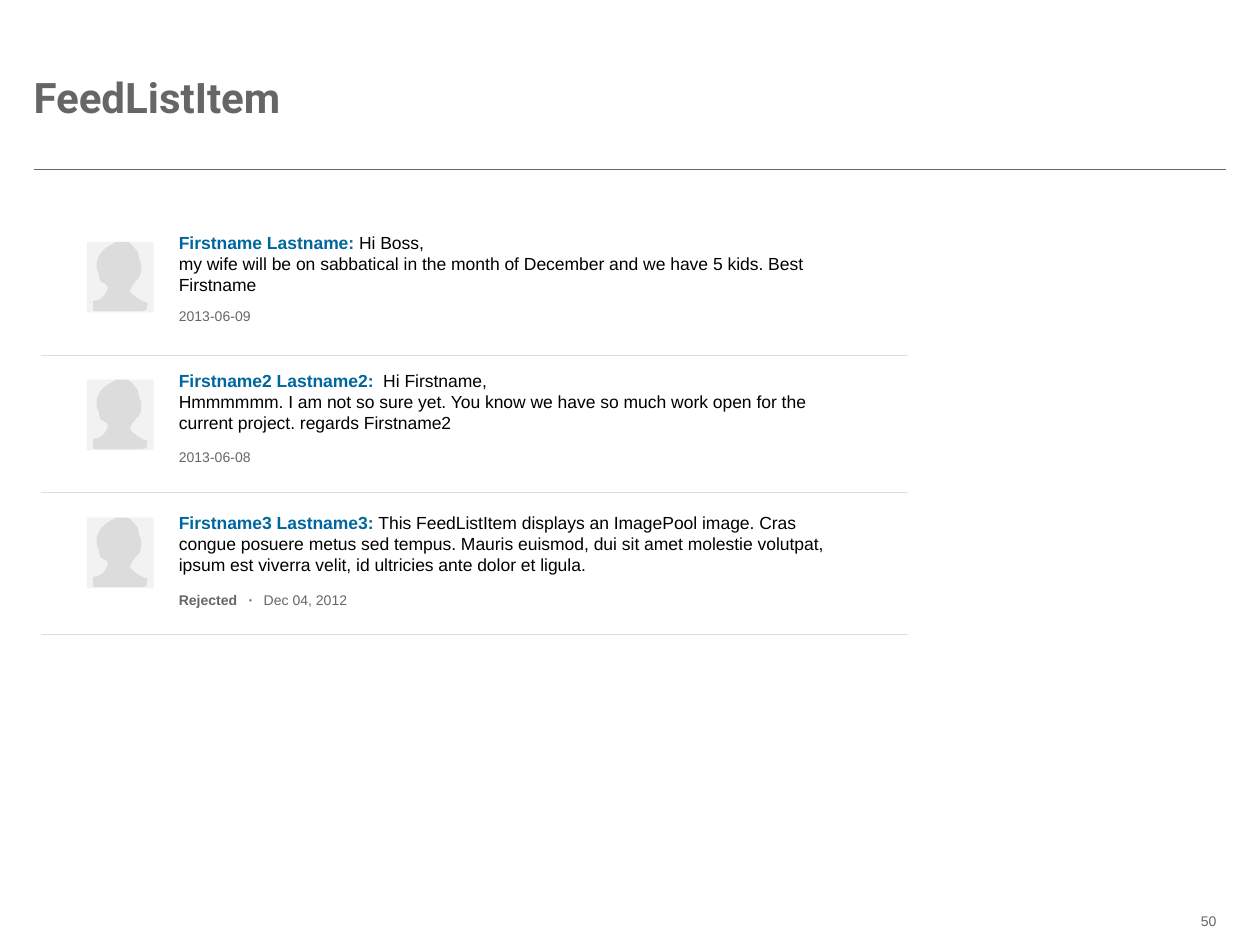
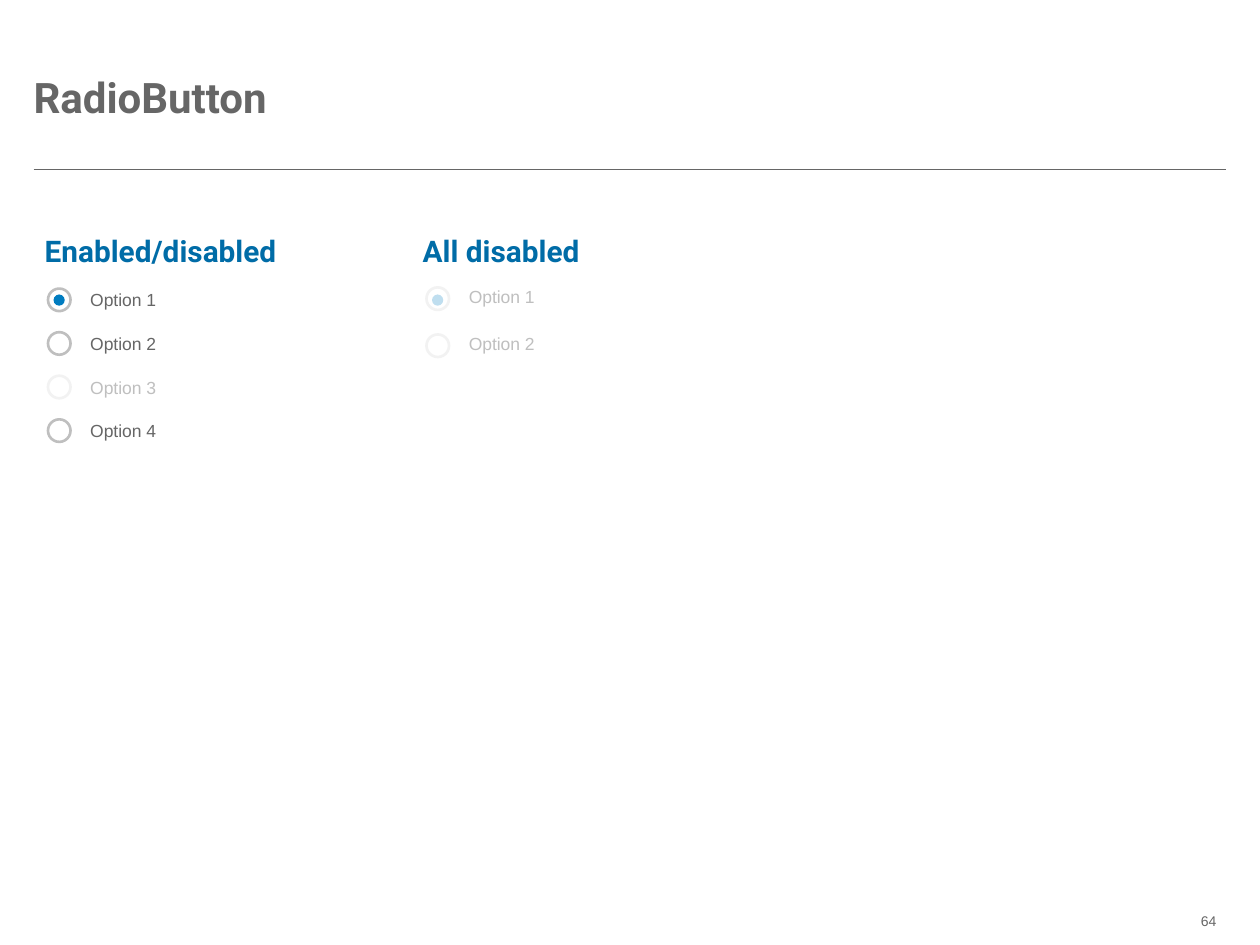
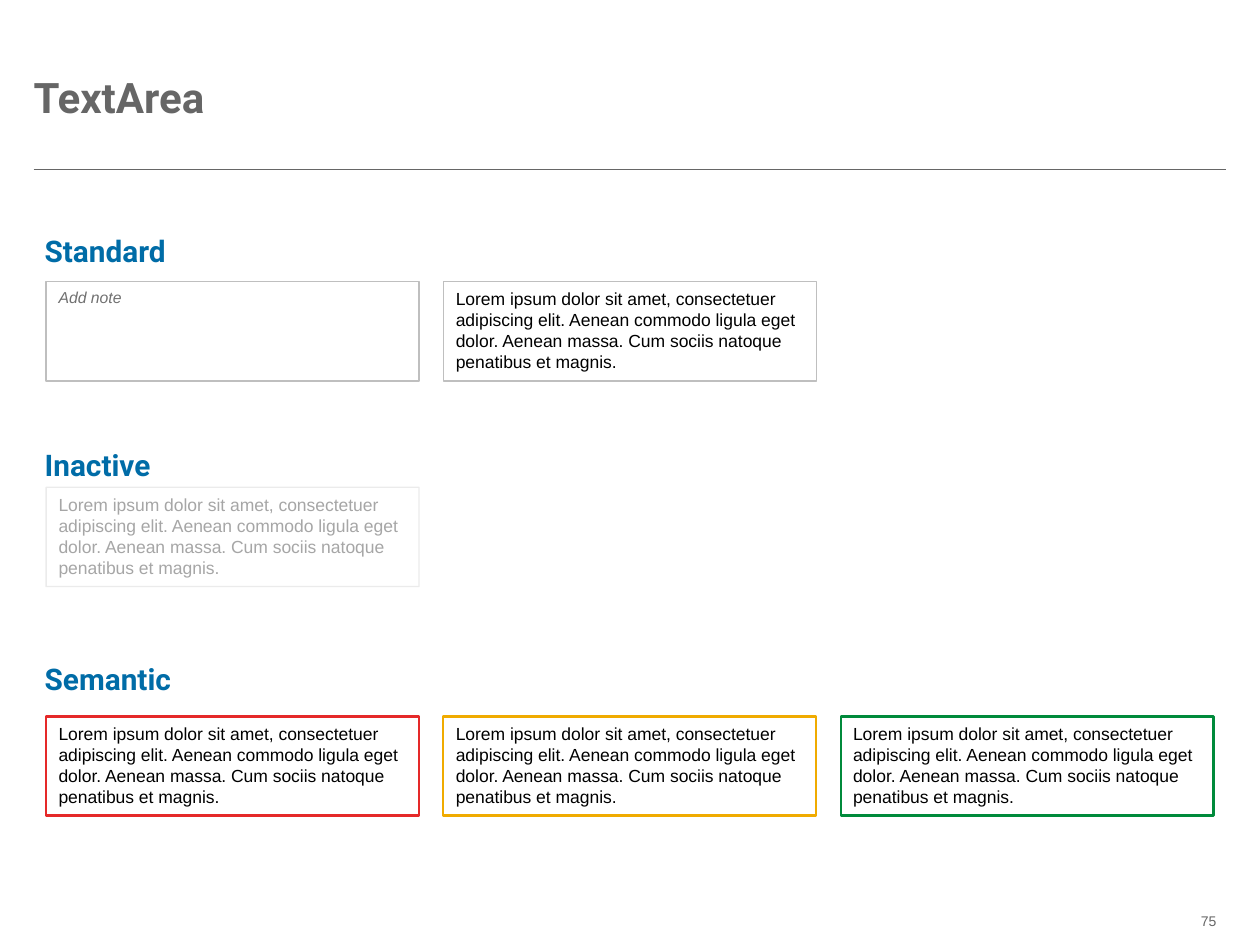
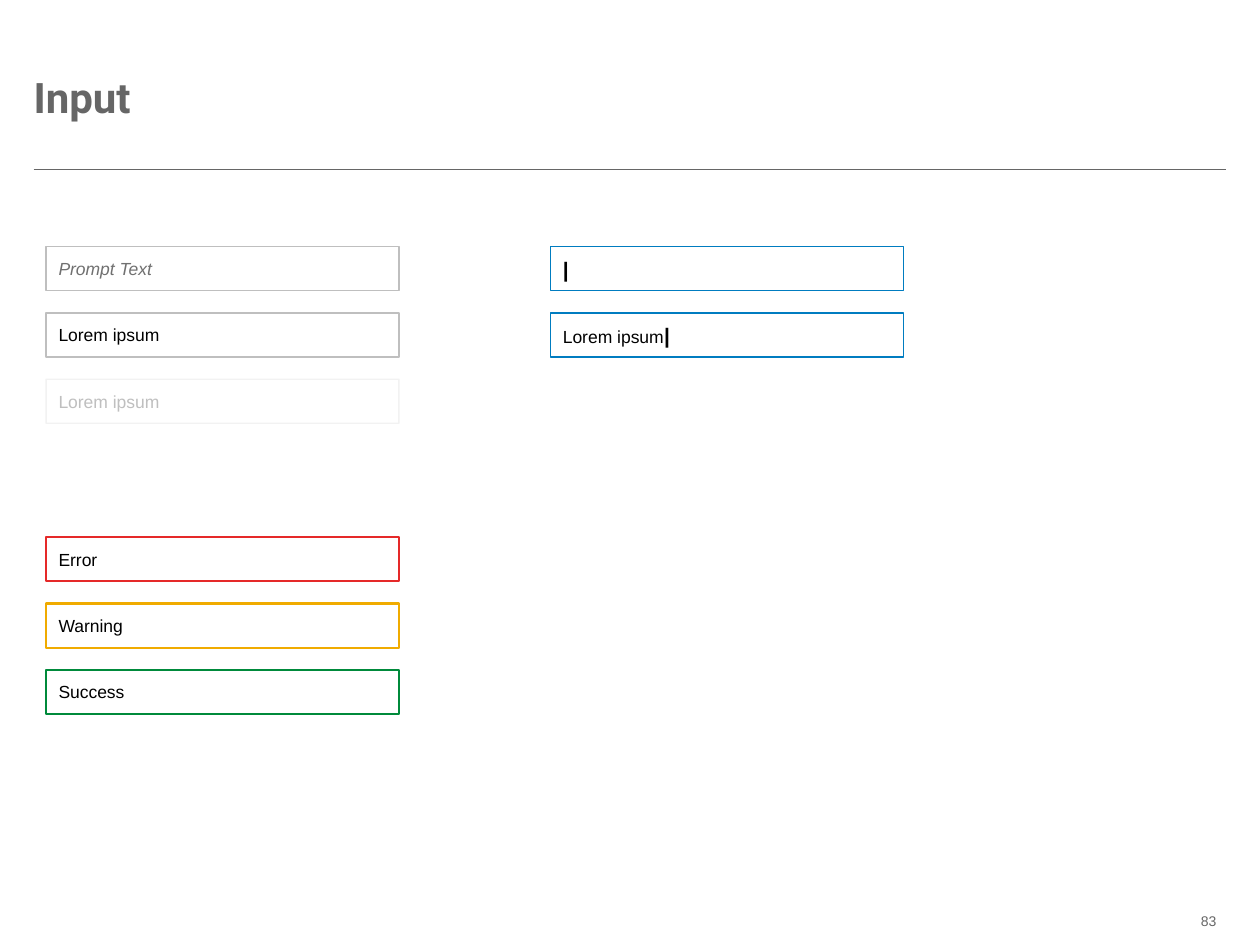
from dataclasses import dataclass
from typing import Any, NamedTuple

from lxml.etree import Element, SubElement
from pptx import Presentation
from pptx.dml.color import RGBColor
from pptx.enum.shapes import MSO_CONNECTOR, MSO_SHAPE
from pptx.enum.text import MSO_ANCHOR, PP_ALIGN
from pptx.oxml.ns import qn
from pptx.util import Pt

# Colours and fonts
WHITE = RGBColor(0xFF, 0xFF, 0xFF)
BLACK = RGBColor(0x00, 0x00, 0x00)
GRAY = RGBColor(0x66, 0x66, 0x66)
PROMPT = RGBColor(0x70, 0x70, 0x70)
MUTED = RGBColor(0xA6, 0xA6, 0xA6)
SILVER = RGBColor(0xBF, 0xBF, 0xBF)
RULE = RGBColor(0xDD, 0xDD, 0xDD)
SHADE = RGBColor(0xDC, 0xDC, 0xDC)
PALE = RGBColor(0xF2, 0xF2, 0xF2)
HEAD = RGBColor(0x00, 0x6C, 0xA7)
NAME = RGBColor(0x00, 0x67, 0x9E)
BLUE = RGBColor(0x00, 0x7C, 0xC0)
MIST = RGBColor(0xBF, 0xDE, 0xEF)
RED = RGBColor(0xE5, 0x29, 0x29)
AMBER = RGBColor(0xF0, 0xAB, 0x00)
GREEN = RGBColor(0x00, 0x8A, 0x3B)
SANS, DISPLAY = "Arial", "Roboto"

LEFT = 26.4
HAIR = 0.01  # thinnest line
LOREM = ("Lorem ipsum dolor sit amet, consectetuer adipiscing elit. Aenean commodo "
         "ligula eget dolor. Aenean massa. Cum sociis natoque penatibus et magnis.")

# Head outline: cubic curves in hundredths of an inch
START = (43, 48)
CURVES = [
    (43, 55, 43, 55, 36, 55), (25, 55, 14, 55, 2, 55), (0, 55, 0, 55, 0, 53),
    (0, 51, 0, 49, 0, 47), (5, 47, 9, 44, 11, 39), (13, 37, 11, 34, 9, 33),
    (7, 33, 5, 31, 5, 29), (5, 26, 4, 24, 3, 22), (2, 14, 5, 9, 10, 5),
    (12, 3, 16, 2, 18, 0), (21, 0, 24, 0, 28, 0), (30, 1, 31, 3, 32, 4),
    (33, 6, 36, 7, 36, 10), (36, 13, 37, 15, 38, 17), (39, 22, 38, 29, 34, 31),
    (33, 33, 32, 33, 31, 35), (31, 37, 29, 38, 29, 39), (30, 41, 32, 42, 33, 43),
    (36, 45, 39, 48, 43, 48),
]


class Box(NamedTuple):
    x: float
    y: float
    w: float
    h: float

    def size(self) -> list[Pt]:
        return [Pt(side) for side in self]


class Note(NamedTuple):
    text: str
    x: float = 102.2
    width: float = 41.8
    bold: bool = False


@dataclass
class Feed:
    name: str
    lines: list[str]
    top: float
    foot: float
    rule: float
    notes: list[Note]


@dataclass
class Radio:
    text: str
    active: bool = True
    chosen: bool = False


@dataclass
class Field:
    box: Box
    text: str
    edge: RGBColor = SILVER
    width: float = 0.75
    color: RGBColor = BLACK
    size: float = 10
    italic: bool = False
    middle: bool = False
    caret: str = ""
    veil: int = 100  # opacity of the edge, in percent
    glass: int = 100  # opacity of the fill, in percent


# Shared helpers
def say(para: Any, text: str, *, size: float = 10, color: RGBColor = BLACK,
        face: str = SANS, bold: bool = False, italic: bool = False,
        track: float = 0, tab: float = 0) -> None:
    if tab:
        stops = SubElement(para._p.get_or_add_pPr(), qn("a:tabLst"))
        SubElement(stops, qn("a:tab"), pos=str(Pt(tab)), algn="l")
    run = para.add_run()
    run.text = text
    font = run.font
    font.name, font.size, font.bold, font.italic = face, Pt(size), bold, italic
    font.color.rgb = color
    if track:
        run._r.get_or_add_rPr().set("spc", str(round(track * 100)))


def frame(shapes: Any, box: Box, wrap: bool = True) -> Any:
    body = shapes.add_textbox(*box.size()).text_frame
    body.margin_left = body.margin_top = body.margin_right = body.margin_bottom = 0
    body.word_wrap = wrap
    return body


def label(shapes: Any, box: Box, text: str, wrap: bool = False, **style: Any) -> Any:
    body = frame(shapes, box, wrap)
    say(body.paragraphs[0], text, **style)
    return body


def paint(shape: Any, fill: RGBColor, edge: RGBColor | None = None,
          width: float = 0.75) -> Any:
    shape.shadow.inherit = False
    shape.fill.solid()
    shape.fill.fore_color.rgb = fill
    if edge is None:
        shape.line.fill.background()
    else:
        shape.line.color.rgb = edge
        shape.line.width = Pt(width)
    return shape


def fade(shape: Any, where: str, part: int) -> None:
    if part < 100:
        for color in shape._element.spPr.xpath(f"{where}/a:srgbClr"):
            SubElement(color, qn("a:alpha")).set("val", str(part * 1000))


def rule(shapes: Any, left: float, right: float, y: float, color: RGBColor,
         width: float) -> None:
    line = shapes.add_connector(MSO_CONNECTOR.STRAIGHT, Pt(left), Pt(y), Pt(right), Pt(y))
    line.line.color.rgb = color
    line.line.width = Pt(width)
    SubElement(line._element.spPr, qn("a:effectLst"))


def start(deck: Any, title: str, page: int) -> Any:
    shapes = deck.slides.add_slide(deck.slide_layouts[6]).shapes
    rule(shapes, 19.2, 700.6, 96.9, GRAY, 0.5)
    foot = label(shapes, Box(685.2, 521.3, 15.8, 9.4), str(page), True, size=8, color=GRAY)
    foot.margin_right = Pt(5.8)
    foot.paragraphs[0].alignment = PP_ALIGN.RIGHT
    body = label(shapes, Box(19.2, 25.2, 681.8, 59.8), title, True,
                 size=24, color=GRAY, face=DISPLAY, bold=True)
    body.vertical_anchor = MSO_ANCHOR.MIDDLE
    return shapes


def heads(shapes: Any, height: float, texts: list[str], tab: float = 0) -> None:
    body = frame(shapes, Box(25.5, 133.2, 668.9, height))
    for row, text in enumerate(texts):
        para = body.add_paragraph() if row else body.paragraphs[0]
        if row:
            para.space_before = Pt(101.8)
        say(para, text, size=17, color=HEAD, face=DISPLAY, bold=True, tab=tab)


# Feed list
def person(shapes: Any, x: float, y: float) -> None:
    paint(shapes.add_shape(MSO_SHAPE.RECTANGLE, *Box(x, y, 38.2, 40.3).size()), PALE)
    pen = shapes.build_freeform(*START, scale=Pt(0.72))
    pen.add_line_segments([curve[4:] for curve in CURVES], close=True)
    head = paint(pen.convert_to_shape(Pt(x + 3.6), Pt(y)), SHADE)
    # Bend each straight segment with its two control points
    for part, (bx, by, cx, cy, *_) in zip(head._element.xpath(".//a:lnTo"), CURVES):
        part.tag = qn("a:cubicBezTo")
        part.insert(0, Element(qn("a:pt"), x=str(bx), y=str(by)))
        part.insert(1, Element(qn("a:pt"), x=str(cx), y=str(cy)))


def feed(shapes: Any, row: int, item: Feed) -> None:
    body = frame(shapes, Box(102.2, item.top, 387.4, 36))
    para = body.paragraphs[0]
    say(para, item.name + ": ", color=NAME, bold=True)
    say(para, item.lines[0])
    for line in item.lines[1:]:
        say(body.add_paragraph(), line)
    for note in item.notes:
        label(shapes, Box(note.x, item.foot, note.width, 9.4), note.text, size=8,
              color=GRAY, bold=note.bold, tab=39.9 if "\t" in note.text else 0)
    person(shapes, 49.6, 138.2 + 78.8 * row)
    rule(shapes, 23.6, 518.6, item.rule, RULE, HAIR)


# Radio buttons
def radios(shapes: Any, x: float, ring: float, text: float, step: float,
           items: list[Radio]) -> None:
    group = shapes.add_group_shape().shapes
    for row, item in enumerate(items):
        shift = step * row
        disc = group.add_shape(MSO_SHAPE.OVAL, *Box(x, ring + shift, 12.9, 12.9).size())
        paint(disc, WHITE, SILVER if item.active else PALE, 1.5)
        if item.chosen:
            dot = group.add_shape(MSO_SHAPE.OVAL, *Box(x + 3.2, 168.3 + shift, 6.4, 6.4).size())
            paint(dot, BLUE if item.active else MIST)
        label(group, Box(x + 24.2, text + shift, 38.2, 12), item.text,
              color=GRAY if item.active else SILVER)


# Text areas and inputs
def field(shapes: Any, item: Field) -> None:
    shape = shapes.add_shape(MSO_SHAPE.RECTANGLE, *item.box.size())
    paint(shape, WHITE, item.edge, item.width)
    fade(shape, "a:ln/a:solidFill", item.veil)
    fade(shape, "a:solidFill", item.glass)
    body = shape.text_frame
    body.word_wrap = True
    body.vertical_anchor = MSO_ANCHOR.MIDDLE if item.middle else MSO_ANCHOR.TOP
    para = body.paragraphs[0]
    para.alignment = PP_ALIGN.LEFT
    if item.text:
        say(para, item.text, size=item.size, color=item.color, italic=item.italic)
    if item.caret:
        say(para, item.caret, size=12, bold=True, track=-3)


def area(col: int, y: float, text: str = LOREM, **style: Any) -> Field:
    return Field(Box(LEFT + 227 * col, y, 213.1, 56.7), text, **style)


def entry(x: float, top: float, row: int, text: str, **style: Any) -> Field:
    return Field(Box(x, top + 37.9 * row, 201.6, 25.2), text, middle=True, **style)


FEEDS = [
    Feed("Firstname Lastname",
         ["Hi Boss,", "my wife will be on sabbatical in the month of December "
          "and we have 5 kids. Best Firstname"],
         132.5, 175.7, 203, [Note("2013-06-09")]),
    Feed("Firstname2 Lastname2",
         [" Hi Firstname,", "Hmmmmmm. I am not so sure yet. You know we have so much "
          "work open for the current project. regards Firstname2"],
         211.3, 256.3, 281.4, [Note("2013-06-08")]),
    Feed("Firstname3 Lastname3",
         ["This FeedListItem displays an ImagePool image. Cras congue posuere metus sed "
          "tempus. Mauris euismod, dui sit amet molestie volutpat, ipsum est viverra "
          "velit, id ultricies ante dolor et ligula."],
         292.3, 338.1, 362.6,
         [Note("Rejected\t·", width=43.2, bold=True),
          Note("Dec 04, 2012", x=150.7, width=48.2)]),
]
STATES = [RED, AMBER, GREEN]


def main() -> None:
    deck = Presentation()
    deck.slide_width, deck.slide_height = Pt(720), Pt(540)

    # FeedListItem
    shapes = start(deck, "FeedListItem", 50)
    for row, item in enumerate(FEEDS):
        feed(shapes, row, item)

    # RadioButton
    shapes = start(deck, "RadioButton", 64)
    heads(shapes, 345.6, ["Enabled/disabled\tAll disabled"], tab=216)
    radios(shapes, 27.4, 164.9, 165.4, 24.9,
           [Radio("Option 1", chosen=True), Radio("Option 2"),
            Radio("Option 3", active=False), Radio("Option 4")])
    radios(shapes, 243.7, 164.2, 163.4, 26.9,
           [Radio("Option 1", False, True), Radio("Option 2", False)])

    # TextArea
    shapes = start(deck, "TextArea", 75)
    heads(shapes, 367.2, ["Standard", "Inactive", "Semantic"])
    areas = [area(1, 161),
             area(0, 161, "Add note", color=PROMPT, size=9, italic=True)]
    areas += [area(col, 409.4, edge=edge, width=1.25) for col, edge in enumerate(STATES)]
    areas.append(area(0, 278.5, color=MUTED, veil=30))
    for item in areas:
        field(shapes, item)

    # Input
    shapes = start(deck, "Input", 83)
    top, right = 140.9, 314.6
    inputs = [entry(LEFT, top, 0, "Prompt Text", color=PROMPT, italic=True),
              entry(LEFT, top, 1, "Lorem ipsum"),
              entry(LEFT, top, 2, "Lorem ipsum", color=SILVER, veil=20, glass=30),
              entry(right, top, 1, "Lorem ipsum", edge=BLUE, caret=" |"),
              entry(right, top, 0, "", edge=BLUE, caret="|")]
    inputs += [entry(LEFT, 307, row, text, edge=edge, width=1.25)
               for row, (text, edge) in enumerate(zip(["Error", "Warning", "Success"], STATES))]
    for item in inputs:
        field(shapes, item)

    deck.save("out.pptx")


if __name__ == "__main__":
    main()
